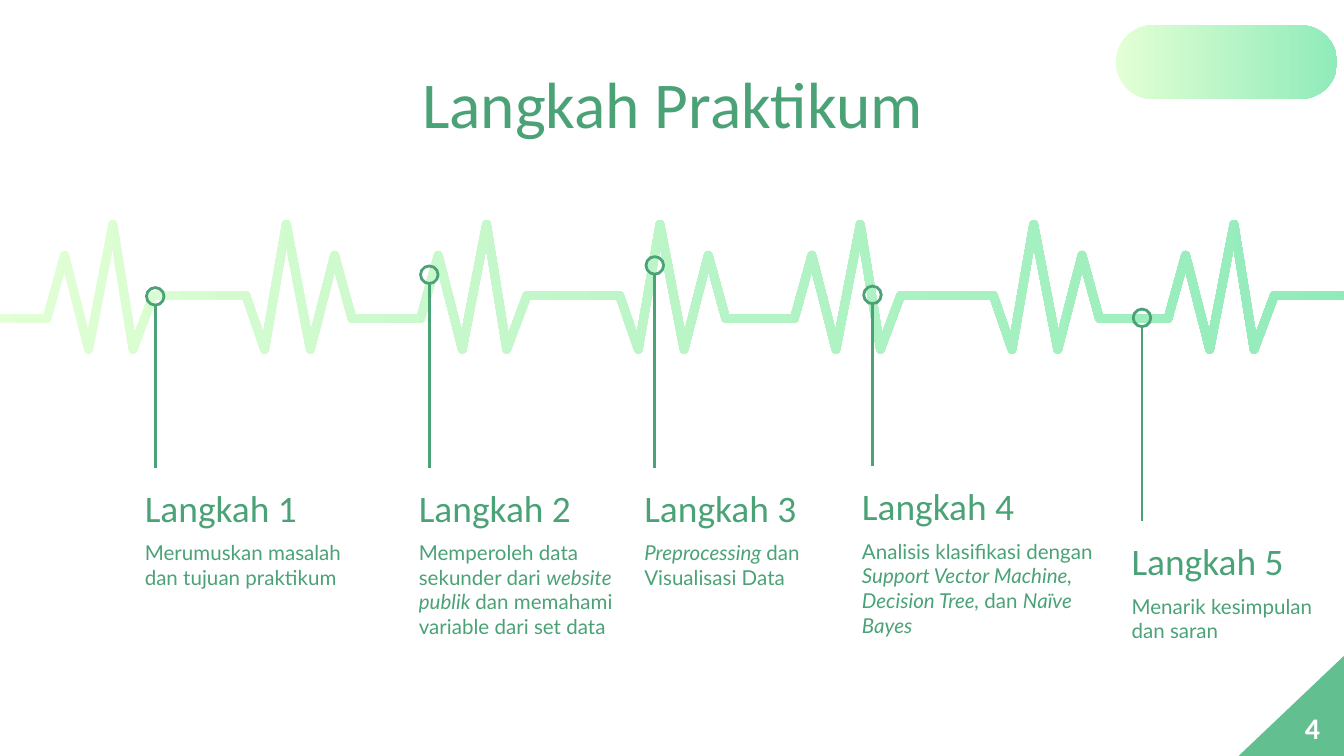
"""Build the "Langkah Praktikum" slide: five steps pinned to a heartbeat line."""
import math

import pptx
import pptx.dml.color
import pptx.enum.shapes
import pptx.enum.text
import pptx.oxml.ns
import pptx.util
from lxml import etree

Pt = pptx.util.Pt
MSO_SHAPE = pptx.enum.shapes.MSO_SHAPE
ANCHOR = pptx.enum.text.MSO_ANCHOR
GREEN = pptx.dml.color.RGBColor(0x4A, 0xA2, 0x76)
CORNER_GREEN = pptx.dml.color.RGBColor(0x62, 0xC0, 0x90)
PALE_LIME = pptx.dml.color.RGBColor(0xE3, 0xFF, 0xD5)
MINT = pptx.dml.color.RGBColor(0x90, 0xEB, 0xBA)
WHITE = pptx.dml.color.RGBColor(0xFF, 0xFF, 0xFF)

BEAT = [(25.2, 170.6), (34.6, 136.8), (47.5, 187.2), (60.5, 120.2),
        (71.3, 187.2), (82.1, 158.4), (131.8, 158.4), (141.8, 187.2),
        (153.4, 120.2), (166.3, 187.2), (179.3, 136.8), (188.6, 170.6)]
BEAT_WIDTH = 200.2
PULSE_RADIUS = 2.3
RING_SIZE = 9.4
ARC_STEPS = 6

STEPS = [
    (83.2, 158.8, 250.6, 139, [("Merumuskan masalah dan tujuan praktikum", False)]),
    (230, 147.2, 250.6, 139, [("Memperoleh data sekunder dari ", False), ("website publik ", True),
                              ("dan memahami variable dari set data", False)]),
    (350.8, 142.2, 250.6, 139, [("Preprocessing ", True), ("dan Visualisasi Data", False)]),
    (467.4, 158, 249.8, 139, [("Analisis klasifikasi dengan ", False),
                              ("Support Vector Machine, Decision Tree, ", True),
                              ("dan ", False), ("Naïve Bayes", True)]),
    (611.8, 170.3, 279.2, 121, [("Menarik kesimpulan dan saran", False)]),
]


def fill_with_gradient(shape):
    shape.shadow.inherit = False
    shape.line.fill.background()
    shape.fill.gradient()
    shape.fill.gradient_angle = 0
    for stop, color in zip(shape.fill.gradient_stops, (PALE_LIME, MINT)):
        stop.color.rgb = color


def format_text(frame, runs, font_name, size, color, anchor, inset=7.2):
    frame.word_wrap = True
    frame.auto_size = pptx.enum.text.MSO_AUTO_SIZE.NONE
    frame.vertical_anchor = anchor
    frame.margin_left = frame.margin_right = Pt(7.2)
    frame.margin_top = frame.margin_bottom = Pt(inset)
    paragraph = frame.paragraphs[0]
    paragraph.font.name = font_name
    paragraph.font.size = Pt(size)
    paragraph.font.color.rgb = color
    for words, italic in runs:
        run = paragraph.add_run()
        run.text = words
        if italic:
            run.font.italic = True
    return paragraph


presentation = pptx.Presentation()
presentation.slide_width = Pt(720)
presentation.slide_height = Pt(405)
slide = presentation.slides.add_slide(presentation.slide_layouts[5])
shapes = slide.shapes

title = shapes.title
title.left, title.top, title.width, title.height = Pt(56.9), Pt(42.5), Pt(607), Pt(25.2)
heading = format_text(title.text_frame, [("Langkah Praktikum", False)], "Calibri", 35, GREEN, ANCHOR.MIDDLE)
heading.alignment = pptx.enum.text.PP_ALIGN.CENTER

trace = [(-10, 170.6)]
for beat in range(4):
    trace += [(x + beat * BEAT_WIDTH, y) for x, y in (BEAT if beat < 3 else BEAT[:7])]

circuit = trace + trace[-2:0:-1]
outline = []
for index, (x, y) in enumerate(circuit):
    before_x, before_y = circuit[index - 1]
    after_x, after_y = circuit[(index + 1) % len(circuit)]
    arriving = math.atan2(y - before_y, x - before_x)
    leaving = math.atan2(after_y - y, after_x - x)
    turn = (leaving - arriving + 3) % math.tau - 3
    if turn > 0:
        offsets = [(arriving + turn * k / ARC_STEPS, PULSE_RADIUS) for k in range(ARC_STEPS + 1)]
    else:
        offsets = [(arriving + turn / 2, PULSE_RADIUS / math.cos(turn / 2))]
    for direction, reach in offsets:
        outline.append((Pt(x + reach * math.sin(direction)), Pt(y - reach * math.cos(direction))))

builder = shapes.build_freeform(*outline[0], scale=1.0)
builder.add_line_segments(outline[1:], close=True)
fill_with_gradient(builder.convert_to_shape())

for number, (x, y, stem_end, body_width, description) in enumerate(STEPS, start=1):
    stem = shapes.add_connector(pptx.enum.shapes.MSO_CONNECTOR.STRAIGHT,
                                Pt(x), Pt(y + RING_SIZE / 2), Pt(x), Pt(stem_end))
    etree.SubElement(stem._element.spPr, pptx.oxml.ns.qn("a:effectLst"))
    ring = shapes.add_shape(MSO_SHAPE.OVAL, Pt(x - RING_SIZE / 2), Pt(y - RING_SIZE / 2),
                            Pt(RING_SIZE), Pt(RING_SIZE))
    ring.shadow.inherit = False
    ring.fill.background()
    for mark in (stem, ring):
        mark.line.color.rgb = GREEN
        mark.line.width = Pt(1.5)
    step_name = shapes.add_textbox(Pt(x - 12.7), Pt(stem_end + 12.9), Pt(139), Pt(16.6))
    format_text(step_name.text_frame, [(f"Langkah {number}", False)], "Calibri", 20, GREEN, ANCHOR.MIDDLE)
    step_body = shapes.add_textbox(Pt(x - 12.7), Pt(stem_end + 31.6), Pt(body_width), Pt(80))
    format_text(step_body.text_frame, description, "Lato", 11, GREEN, ANCHOR.TOP)

pill = shapes.add_shape(MSO_SHAPE.ROUNDED_RECTANGLE, Pt(597.8), Pt(13.5), Pt(118.6), Pt(39.6))
pill.adjustments[0] = 0.5
fill_with_gradient(pill)

corner = shapes.add_shape(MSO_SHAPE.RIGHT_TRIANGLE, Pt(664.5), Pt(348.6), Pt(55.4), Pt(58.3))
corner.rotation = 270
corner.shadow.inherit = False
corner.fill.solid()
corner.fill.fore_color.rgb = CORNER_GREEN
corner.line.fill.background()

page_number = shapes.add_textbox(Pt(691.9), Pt(376.6), Pt(29.5), Pt(26.6))
page = format_text(page_number.text_frame, [("4", False)], "Calibri", 16, WHITE, ANCHOR.TOP, inset=3.6)
page.font.bold = True

presentation.save("out.pptx")
